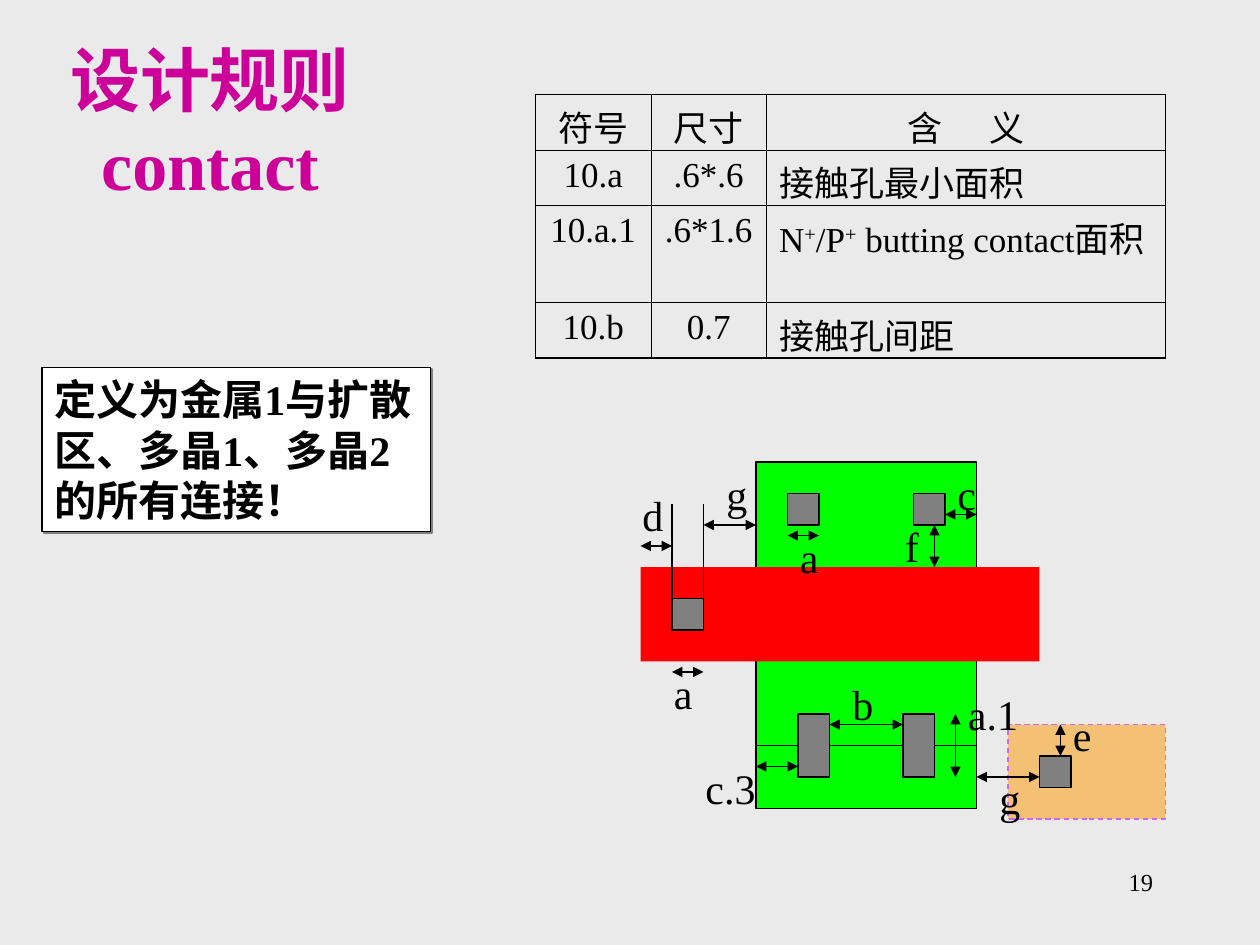
import lxml.etree
import pptx
import pptx.dml.color
import pptx.enum.dml
import pptx.enum.shapes
import pptx.enum.text
import pptx.oxml
import pptx.oxml.ns
import pptx.util

RGBColor = pptx.dml.color.RGBColor
ALIGN = pptx.enum.text.PP_ALIGN
BLACK = RGBColor(0x00, 0x00, 0x00)
WHITE = RGBColor(0xFF, 0xFF, 0xFF)
BACKGROUND = RGBColor(0xEA, 0xEA, 0xEA)
MAGENTA = RGBColor(0xCC, 0x00, 0x99)
DIFFUSION = RGBColor(0x00, 0xFF, 0x00)
POLY_1 = RGBColor(0xFF, 0x00, 0x00)
CONTACT = RGBColor(0x80, 0x80, 0x80)
POLY_2 = RGBColor(0xFF, 0x99, 0x00)
POLY_2_EDGE = RGBColor(0xCC, 0x66, 0xFF)
SHADOW = "808080"
FONT = "Times New Roman"

# Table texts: a cell is a list of (text, superscript) runs
HEADINGS = ["符号", "尺寸"]
RULES = [
    ("10.a", ".6*.6", [("接触孔最小面积", False)]),
    ("10.a.1", ".6*1.6", [("N", False), ("+", True), ("/P", False), ("+", True),
                          (" butting contact面积", False)]),
    ("10.b", "0.7", [("接触孔间距", False)]),
]

# Layout drawing, in grid steps: left, top, width, height
CONTACTS = [(75, 47, 3, 3), (87, 47, 3, 3), (64, 57, 3, 3),
            (76, 68, 3, 6), (86, 68, 3, 6), (99, 72, 3, 3)]
# Dimension arrows and guide lines: x1, y1, x2, y2
GUIDES = [(64, 57, 64, 48), (67, 57, 67, 48)]
DIMENSIONS = [(61, 52, 64, 52), (67, 50, 72, 50), (64, 64, 67, 64),
              (79, 69, 86, 69), (72, 73, 76, 73), (91, 68, 91, 74),
              (99, 74, 93, 74), (101, 72, 101, 69), (90, 49, 93, 49),
              (75, 51, 78, 51), (89, 50, 89, 54)]
LABELS = [("a", 63, 63), ("a", 75, 50), ("b", 80, 64), ("c", 90, 44),
          ("d", 60, 46), ("e", 101, 67), ("f", 85, 49), ("g", 94, 73),
          ("g", 68, 44), ("c.3", 66, 72), ("a.1", 91, 65)]


def grid(*steps):
    """Lengths on a grid of twelve steps to the inch."""
    return [pptx.util.Inches(step / 12) for step in steps]


def add_run(paragraph, text, size, color=BLACK, bold=False):
    run = paragraph.add_run()
    run.text = text
    run.font.name = FONT
    run.font.size = pptx.util.Pt(size)
    run.font.bold = bold
    run.font.color.rgb = color
    return run


def add_child(parent, tag, **attributes):
    child = lxml.etree.SubElement(parent, pptx.oxml.ns.qn(tag))
    for name, value in attributes.items():
        child.set(name, str(value))
    return child


def add_text(shapes, text, box, size, align=ALIGN.LEFT):
    text_box = shapes.add_textbox(*grid(*box))
    text_box.text_frame.word_wrap = True
    paragraph = text_box.text_frame.paragraphs[0]
    paragraph.alignment = align
    add_run(paragraph, text, size)


def add_rectangle(shapes, box, fill, line=BLACK):
    shape = shapes.add_shape(pptx.enum.shapes.MSO_SHAPE.RECTANGLE, *grid(*box))
    shape.shadow.inherit = False
    shape.fill.solid()
    shape.fill.fore_color.rgb = fill
    if line is None:
        shape.line.fill.background()
    else:
        shape.line.color.rgb = line
        shape.line.width = pptx.util.Pt(0.75)
    return shape


def add_line(shapes, ends, arrows=False):
    connector = shapes.add_connector(
        pptx.enum.shapes.MSO_CONNECTOR.STRAIGHT, *grid(*ends))
    connector.line.color.rgb = BLACK
    connector.line.width = pptx.util.Pt(0.75)
    properties = connector._element.spPr
    if arrows:
        line = properties.find(pptx.oxml.ns.qn("a:ln"))
        add_child(line, "a:headEnd", type="triangle")
        add_child(line, "a:tailEnd", type="triangle")
    add_child(properties, "a:effectLst")


def add_title(slide):
    title = slide.shapes.title
    title.left, title.top, title.width, title.height = grid(1, 6, 38, 11)
    frame = title.text_frame
    frame.auto_size = pptx.enum.text.MSO_AUTO_SIZE.NONE
    frame.vertical_anchor = pptx.enum.text.MSO_ANCHOR.MIDDLE
    paragraph = frame.paragraphs[0]
    paragraph.alignment = ALIGN.CENTER
    add_run(paragraph, "设计规则", 40, MAGENTA, True)
    paragraph.add_line_break()
    add_run(paragraph, "contact", 40, MAGENTA, True)


def set_borders(cell, outer):
    """Draw thick borders on the outer sides, thin ones elsewhere."""
    properties = cell._tc.get_or_add_tcPr()
    for position, side in enumerate("LRTB"):
        width = pptx.util.Pt(1.08 if side in outer else 0.45)
        border = pptx.oxml.parse_xml(
            f'<a:ln{side} {pptx.oxml.ns.nsdecls("a")} w="{int(width)}">'
            f'<a:solidFill><a:srgbClr val="{BLACK}"/></a:solidFill></a:ln{side}>')
        properties.insert(position, border)


def add_rule_table(slide):
    row_count, column_count = len(RULES) + 1, 3
    table = slide.shapes.add_table(
        row_count, column_count, *grid(51, 9, 60, 25)).table
    table.first_row = table.horz_banding = False
    for column, width in zip(table.columns, grid(11, 11, 38)):
        column.width = width
    for row, height in zip(table.rows, (0.44, 0.44, 0.77, 0.44)):
        row.height = pptx.util.Inches(height)

    for r in range(row_count):
        for c in range(column_count):
            cell = table.cell(r, c)
            cell.fill.background()
            outer = {"L": c == 0, "R": c == column_count - 1,
                     "T": r == 0, "B": r == row_count - 1}
            set_borders(cell, [side for side in outer if outer[side]])
            paragraph = cell.text_frame.paragraphs[0]
            centred = r == 0 or c < 2
            paragraph.alignment = ALIGN.CENTER if centred else ALIGN.LEFT
            if c < 2:
                add_run(paragraph, RULES[r - 1][c] if r else HEADINGS[c], 20)
            elif r == 0:
                # The gap between the two characters is letter spacing
                add_run(paragraph, "含", 20)
                gap = add_run(paragraph, " ", 20)
                gap.font._element.set("spc", "2200")
                add_run(paragraph, "义", 20)
            else:
                for text, superscript in RULES[r - 1][c]:
                    run = add_run(paragraph, text, 20)
                    if superscript:
                        run.font._element.set("baseline", "30000")


def add_layout_drawing(slide):
    shapes = slide.shapes.add_group_shape().shapes
    # Layers
    add_rectangle(shapes, (72, 44, 21, 27), DIFFUSION)
    add_rectangle(shapes, (61, 54, 38, 9), POLY_1, None)
    add_rectangle(shapes, (72, 71, 21, 6), DIFFUSION)
    poly_2 = add_rectangle(shapes, (96, 69, 15, 9), POLY_2, POLY_2_EDGE)
    poly_2.line.dash_style = pptx.enum.dml.MSO_LINE.DASH
    fill_color = poly_2._element.spPr.find(
        pptx.oxml.ns.qn("a:solidFill") + "/" + pptx.oxml.ns.qn("a:srgbClr"))
    add_child(fill_color, "a:alpha", val=50000)
    for box in CONTACTS:
        add_rectangle(shapes, box, CONTACT)
    # Dimensions
    for ends in GUIDES:
        add_line(shapes, ends)
    for ends in DIMENSIONS:
        add_line(shapes, ends, arrows=True)
    for text, left, top in LABELS:
        add_text(shapes, text, (left, top, 8 if len(text) > 1 else 5, 6), 24)


def add_definition(slide):
    note = add_rectangle(slide.shapes, (4, 35, 37, 15.6), WHITE)
    effects = note._element.spPr.find(pptx.oxml.ns.qn("a:effectLst"))
    shadow = add_child(effects, "a:outerShdw", dist=int(pptx.util.Pt(1.4)),
                       dir=45 * 60000, algn="ctr", rotWithShape=0)
    add_child(shadow, "a:srgbClr", val=SHADOW)
    frame = note.text_frame
    frame.word_wrap = True
    frame.vertical_anchor = pptx.enum.text.MSO_ANCHOR.TOP
    paragraph = frame.paragraphs[0]
    paragraph.alignment = ALIGN.LEFT
    add_run(paragraph, "定义为金属1与扩散区、多晶1、多晶2的所有连接！", 24, bold=True)


def main():
    presentation = pptx.Presentation()
    presentation.slide_width = pptx.util.Inches(10)
    presentation.slide_height = pptx.util.Inches(7.5)
    slide = presentation.slides.add_slide(presentation.slide_layouts[5])
    slide.background.fill.solid()
    slide.background.fill.fore_color.rgb = BACKGROUND

    add_text(slide.shapes, "19", (86, 82, 25, 6), 14, ALIGN.RIGHT)
    add_title(slide)
    add_rule_table(slide)
    add_layout_drawing(slide)
    add_definition(slide)
    presentation.save("out.pptx")


if __name__ == "__main__":
    main()
